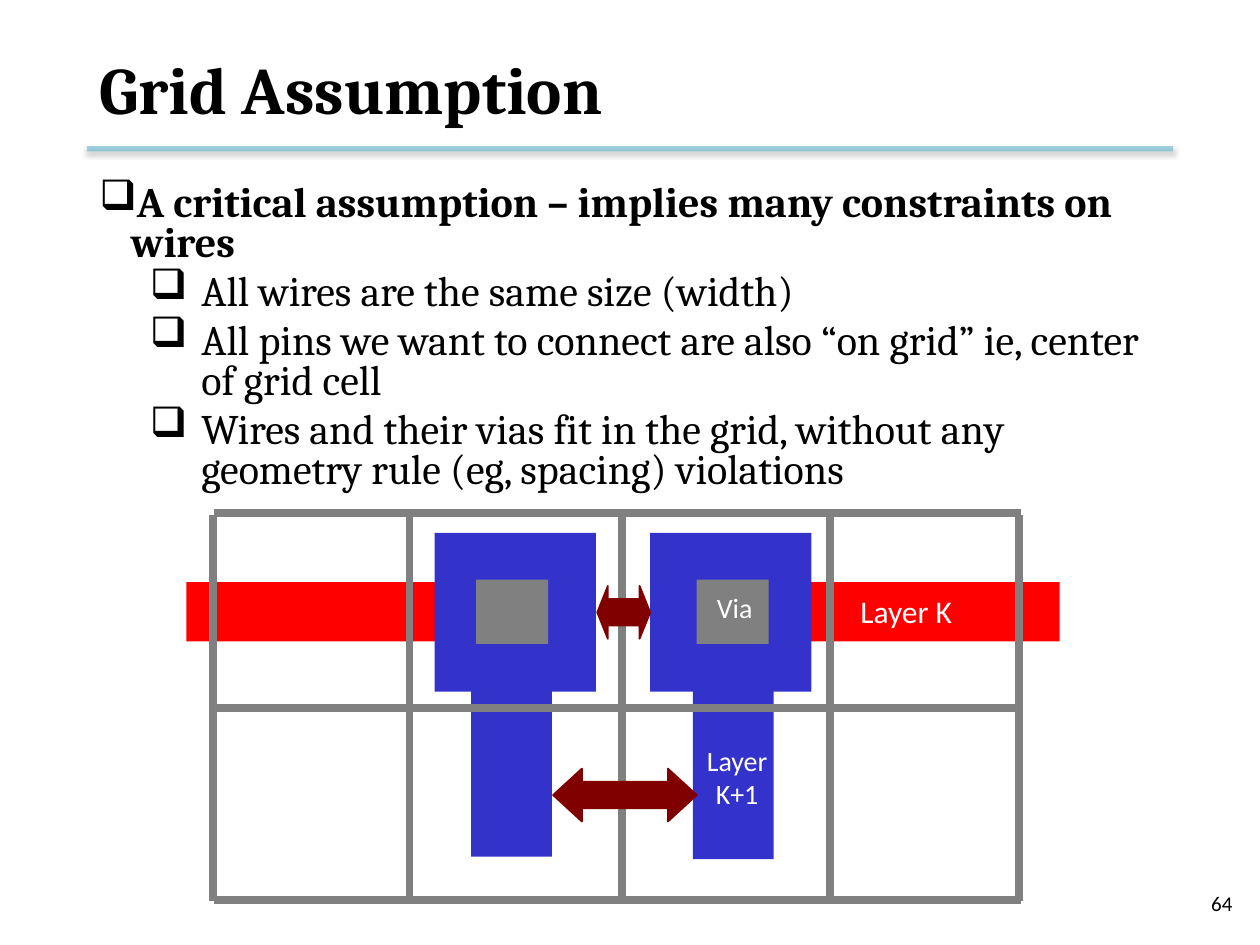
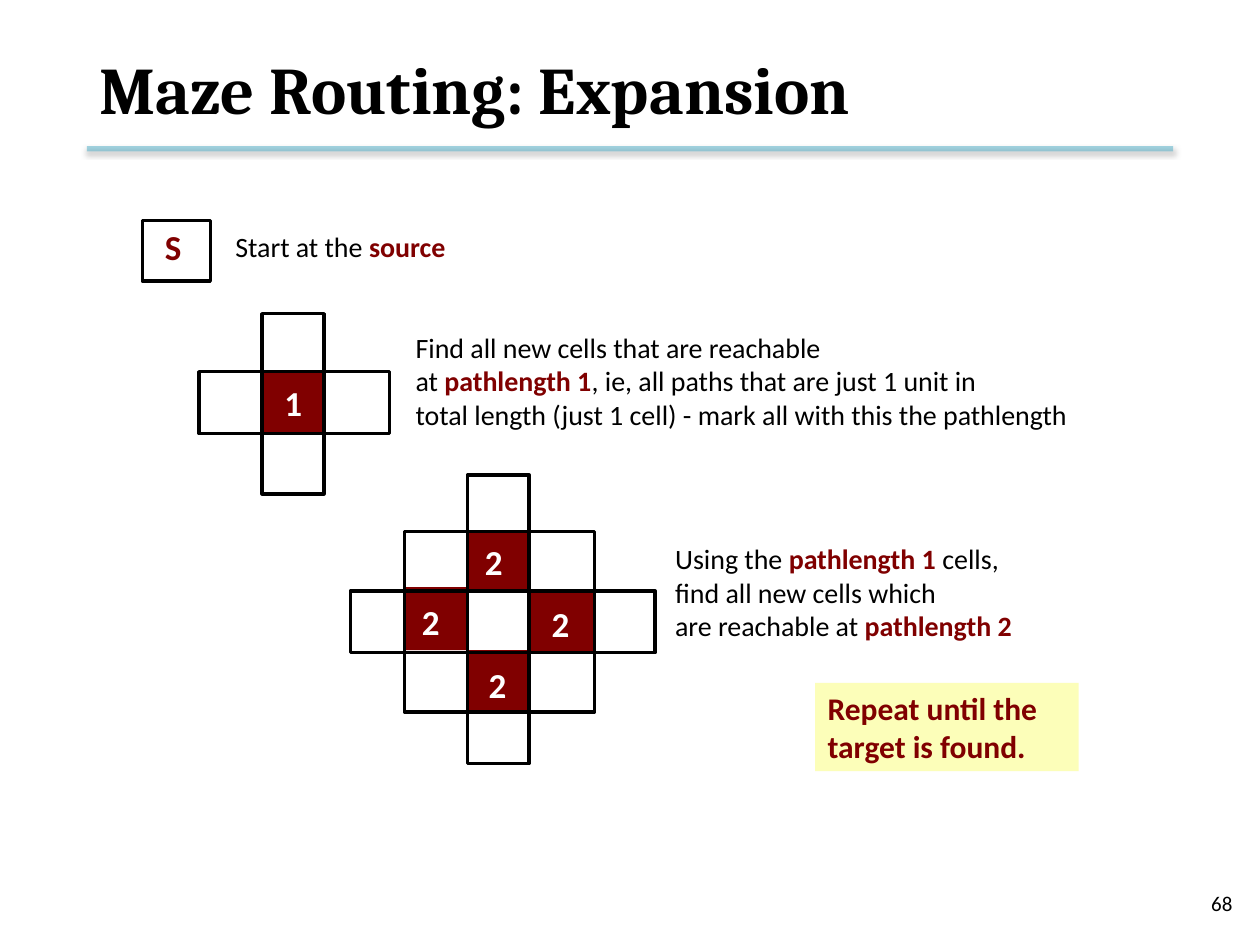
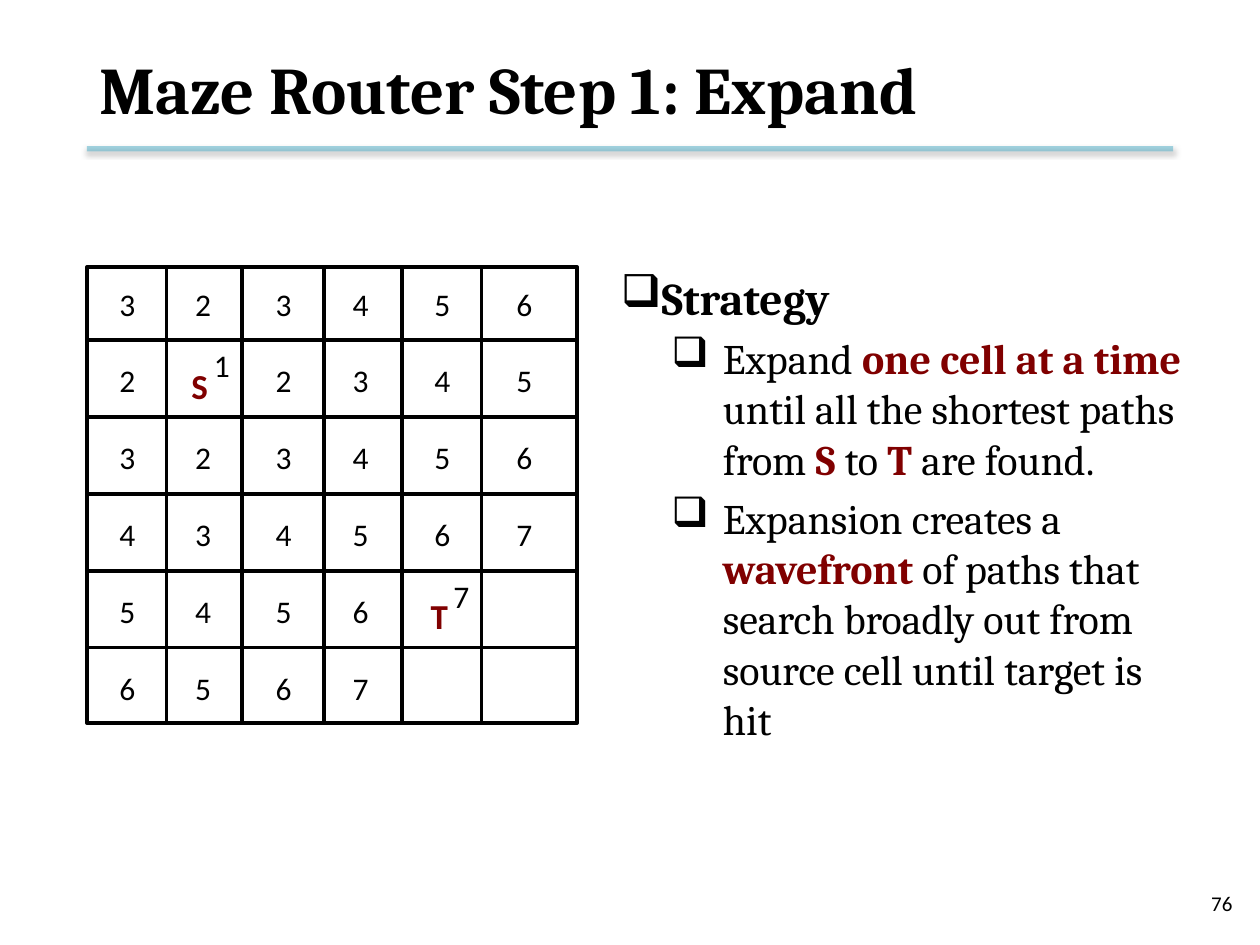
"""Build three slides on grid-based maze routing."""
import lxml.etree
import pptx
import pptx.dml.color
import pptx.enum.shapes
import pptx.enum.text
import pptx.oxml.ns
import pptx.util

Inches = pptx.util.Inches
Pt = pptx.util.Pt
SHAPES = pptx.enum.shapes.MSO_SHAPE
ALIGN = pptx.enum.text.PP_ALIGN
ANCHOR = pptx.enum.text.MSO_ANCHOR
qn = pptx.oxml.ns.qn

BLACK, WHITE, GREY = "000000", "FFFFFF", "808080"
MAROON, RED, BLUE = "800000", "FF0000", "3333CC"
YELLOW, TEAL = "FCFEB9", "4BACC6"
HEADING, BODY = "Cambria", "Calibri"


def rgb(value):
    """Turn a hex string into a colour."""
    return pptx.dml.color.RGBColor.from_string(value)


def child(parent, tag, **attrs):
    """Append a DrawingML element and return it."""
    return lxml.etree.SubElement(parent, qn(tag), {k: str(v) for k, v in attrs.items()})


def shape(slide, kind, box, fill=None, line=None, width=2):
    """Draw a preset shape with an optional fill and outline."""
    sp = slide.shapes.add_shape(kind, *map(Inches, box))
    sp.shadow.inherit = False
    if fill:
        sp.fill.solid()
        sp.fill.fore_color.rgb = rgb(fill)
    else:
        sp.fill.background()
    if line:
        sp.line.color.rgb = rgb(line)
        sp.line.width = Pt(width)
    else:
        sp.line.fill.background()
    return sp


def rect(slide, box, fill=None, line=None):
    """Draw a rectangle."""
    return shape(slide, SHAPES.RECTANGLE, box, fill, line)


def double_arrow(slide, box, head):
    """Draw a maroon spacing arrow with the given head ratio."""
    sp = shape(slide, SHAPES.LEFT_RIGHT_ARROW, box, MAROON, MAROON, 1)
    sp.adjustments[0] = 0.5
    sp.adjustments[1] = head


def line(slide, x1, y1, x2, y2, color, width):
    """Draw a straight line and return it with its empty effect list."""
    cxn = slide.shapes.add_connector(
        pptx.enum.shapes.MSO_CONNECTOR.STRAIGHT, *map(Inches, (x1, y1, x2, y2)))
    cxn.line.color.rgb = rgb(color)
    cxn.line.width = Pt(width)
    return cxn, child(cxn._element.spPr, "a:effectLst")


def grid_lines(slide, xs, ys, x_span, y_span, color, width):
    """Draw vertical lines at xs and horizontal lines at ys."""
    for x in xs:
        line(slide, x, y_span[0], x, y_span[1], color, width)
    for y in ys:
        line(slide, x_span[0], y, x_span[1], y, color, width)


def write(p, words, size, color=BLACK, bold=False, font=BODY):
    """Fill a paragraph, setting words between asterisks in bold maroon."""
    p.font.size = Pt(size)
    p.font.name = font
    p.font.bold = bold
    p.font.color.rgb = rgb(color)
    for i, part in enumerate(words.split("*")):
        if part:
            r = p.add_run()
            r.text = part
            if i % 2:
                r.font.bold = True
                r.font.color.rgb = rgb(MAROON)


def text(slide, box, lines, size, color=BLACK, bold=False, font=BODY,
         align=ALIGN.LEFT, anchor=ANCHOR.TOP, wrap=False):
    """Add a text box with one paragraph per line."""
    sp = slide.shapes.add_textbox(*map(Inches, box))
    tf = sp.text_frame
    tf.word_wrap = wrap
    tf.vertical_anchor = anchor
    if not wrap:
        tf.auto_size = pptx.enum.text.MSO_AUTO_SIZE.SHAPE_TO_FIT_TEXT
    for i, words in enumerate(lines):
        p = tf.add_paragraph() if i else tf.paragraphs[0]
        p.alignment = align
        write(p, words, size, color, bold, font)
    return sp


def bullets(slide, box, head, items, head_size, spacing=1.0):
    """Add a bold bullet with indented bullets below it."""
    tf = slide.shapes.add_textbox(*map(Inches, box)).text_frame
    tf.word_wrap = True
    for i, words in enumerate([head] + items):
        p = tf.add_paragraph() if i else tf.paragraphs[0]
        left, hang = (0.81, -0.41) if i else (0.25, -0.45)
        pPr = p._p.get_or_add_pPr()
        pPr.set("marL", str(Inches(left)))
        pPr.set("indent", str(Inches(hang)))
        child(pPr, "a:buChar", char="❑")
        p.line_spacing = spacing
        if i:
            p.level = 1
            p.space_before = Pt(4.8)
        write(p, words, 24 if i else head_size, bold=not i, font=HEADING)


def new_slide(prs, title, number):
    """Add a slide with its title, shadowed rule and page number."""
    slide = prs.slides.add_slide(prs.slide_layouts[6])
    rule, effects = line(slide, 0.69, 1.18, 9.31, 1.18, TEAL, 3)
    child(rule._element.spPr.find(".//" + qn("a:srgbClr")), "a:alpha", val=50000)
    shadow = child(effects, "a:outerShdw", blurRad=Pt(3.1), dist=Pt(1.6),
                   dir=5400000, rotWithShape=0)
    child(child(shadow, "a:srgbClr", val=BLACK), "a:alpha", val=38000)
    text(slide, (7.55, 6.97, 2.33, 0.4), [str(number)], 12,
         align=ALIGN.RIGHT, anchor=ANCHOR.MIDDLE, wrap=True)
    text(slide, (0.69, 0.17, 8.62, 1.06), [title], 38, bold=True, font=HEADING,
         anchor=ANCHOR.MIDDLE, wrap=True)
    return slide


def grid_assumption(prs):
    """Show wires and vias on the routing grid."""
    slide = new_slide(prs, "Grid Assumption", 64)
    bullets(slide, (0.69, 1.42, 8.62, 2.49),
            "A critical assumption – implies many constraints on wires",
            ["All wires are the same size (width)",
             "All pins we want to connect are also “on grid” ie, center of grid cell",
             "Wires and their vias fit in the grid, without any geometry rule "
             "(eg, spacing) violations"], 24, 0.8)
    for x in (1.48, 6.37):
        rect(slide, (x, 4.62, 2.04, 0.47), RED)
    for wire_x, wire_y, pad_x, via_x in ((3.74, 5.4, 3.45, 3.78), (5.5, 5.42, 5.16, 5.53)):
        rect(slide, (wire_x, wire_y, 0.64, 1.4), BLUE)
        rect(slide, (pad_x, 4.23, 1.28, 1.26), BLUE)
        rect(slide, (via_x, 4.6, 0.57, 0.51), GREY)
    grid_lines(slide, (1.69, 3.25, 4.94, 6.59, 8.09), (4.07, 5.62, 7.14),
               (1.7, 8.1), (4.09, 7.15), GREY, 4.5)
    double_arrow(slide, (4.74, 4.65, 0.42, 0.42), 0.2)
    double_arrow(slide, (4.39, 6.1, 1.14, 0.42), 0.545)
    text(slide, (6.73, 4.65, 1.07, 0.4), ["Layer K"], 18, WHITE)
    text(slide, (5.31, 5.85, 1.08, 0.64), ["Layer", "K+1"], 16, WHITE,
         align=ALIGN.CENTER, wrap=True)
    text(slide, (5.29, 4.64, 1.08, 0.37), ["Via"], 16, WHITE,
         align=ALIGN.CENTER, wrap=True)


def maze_expansion(prs):
    """Show how cells are reached at each pathlength."""
    slide = new_slide(prs, "Maze Routing: Expansion", 68)
    reached = [
        ((2.07, 2.94, 0.5, 0.5), (2.16, 2.98), "1"),
        ((3.71, 4.23, 0.49, 0.47), (3.75, 4.24), "2"),
        ((3.71, 5.16, 0.49, 0.5), (3.78, 5.22), "2"),
        ((4.19, 4.68, 0.53, 0.5), (4.28, 4.73), "2"),
        ((3.22, 4.66, 0.49, 0.5), (3.25, 4.72), "2"),
    ]
    outlines = [
        (1.13, 1.75, 0.54, 0.48), (1.58, 2.95, 1.51, 0.49), (2.08, 2.49, 0.49, 1.43),
        (2.78, 4.69, 2.42, 0.49), (3.71, 3.77, 0.49, 2.29), (3.21, 4.22, 1.51, 1.43),
    ]
    for cell, _, _ in reached:
        rect(slide, cell, MAROON)
    for box in outlines:
        rect(slide, box, line=BLACK)
    for _, (x, y), length in reached:
        text(slide, (x, y, 0.36, 0.43), [length], 20, WHITE, True)
    text(slide, (1.21, 1.74, 0.39, 0.43), ["S"], 20, MAROON, True)
    text(slide, (1.77, 1.77, 2.1, 0.37), ["Start at the *source*"], 16)
    text(slide, (3.2, 2.57, 5.79, 0.91),
         ["Find all new cells that are reachable",
          "at *pathlength 1*, ie, all paths that are just 1 unit in",
          "total length (just 1 cell) - mark all with this the pathlength"], 16)
    text(slide, (5.26, 4.25, 3.22, 0.91),
         ["Using the *pathlength 1* cells,", "find all new cells which",
          "are reachable at *pathlength 2*"], 16)
    note = text(slide, (6.47, 5.42, 2.09, 0.7),
                ["Repeat until the", "target is found."], 18, MAROON, True, wrap=True)
    note.fill.solid()
    note.fill.fore_color.rgb = rgb(YELLOW)


def maze_step(prs):
    """Show the wavefront of pathlengths from source to target."""
    slide = new_slide(prs, "Maze Router Step 1: Expand", 76)
    bullets(slide, (4.83, 2.09, 4.67, 4.13), "Strategy",
            ["Expand *one cell at a time* until all the shortest paths "
             "from *S* to *T* are found.",
             "Expansion creates a *wavefront *of paths that search broadly out "
             "from source cell until target is hit"], 26)
    rect(slide, (0.69, 2.12, 3.89, 3.62), line=BLACK)
    grid_lines(slide, (1.32, 1.92, 2.57, 3.19, 3.82),
               [2.7 + 0.61 * i for i in range(5)], (0.71, 4.56), (2.12, 5.73), BLACK, 2)
    lengths = ["323456", "2S2345", "323456", "434567", "5456T", "6567"]
    lefts = (0.85, 1.45, 2.09, 2.7, 3.35, 4)
    for row, cells in enumerate(lengths):
        top = 2.21 + 0.61 * row
        for left, cell in zip(lefts, cells):
            if cell in "ST":
                text(slide, (left - 0.03, top + 0.02, 0.38, 0.43), [cell], 20, MAROON, True)
                corner = "1" if cell == "S" else "7"
                text(slide, (left + 0.15, top - 0.12, 0.33, 0.4), [corner], 18)
            else:
                text(slide, (left, top, 0.33, 0.4), [cell], 18)


def main():
    """Build and save the slides."""
    prs = pptx.Presentation()
    prs.slide_width, prs.slide_height = Inches(10), Inches(7.5)
    grid_assumption(prs)
    maze_expansion(prs)
    maze_step(prs)
    prs.save("out.pptx")


if __name__ == "__main__":
    main()
